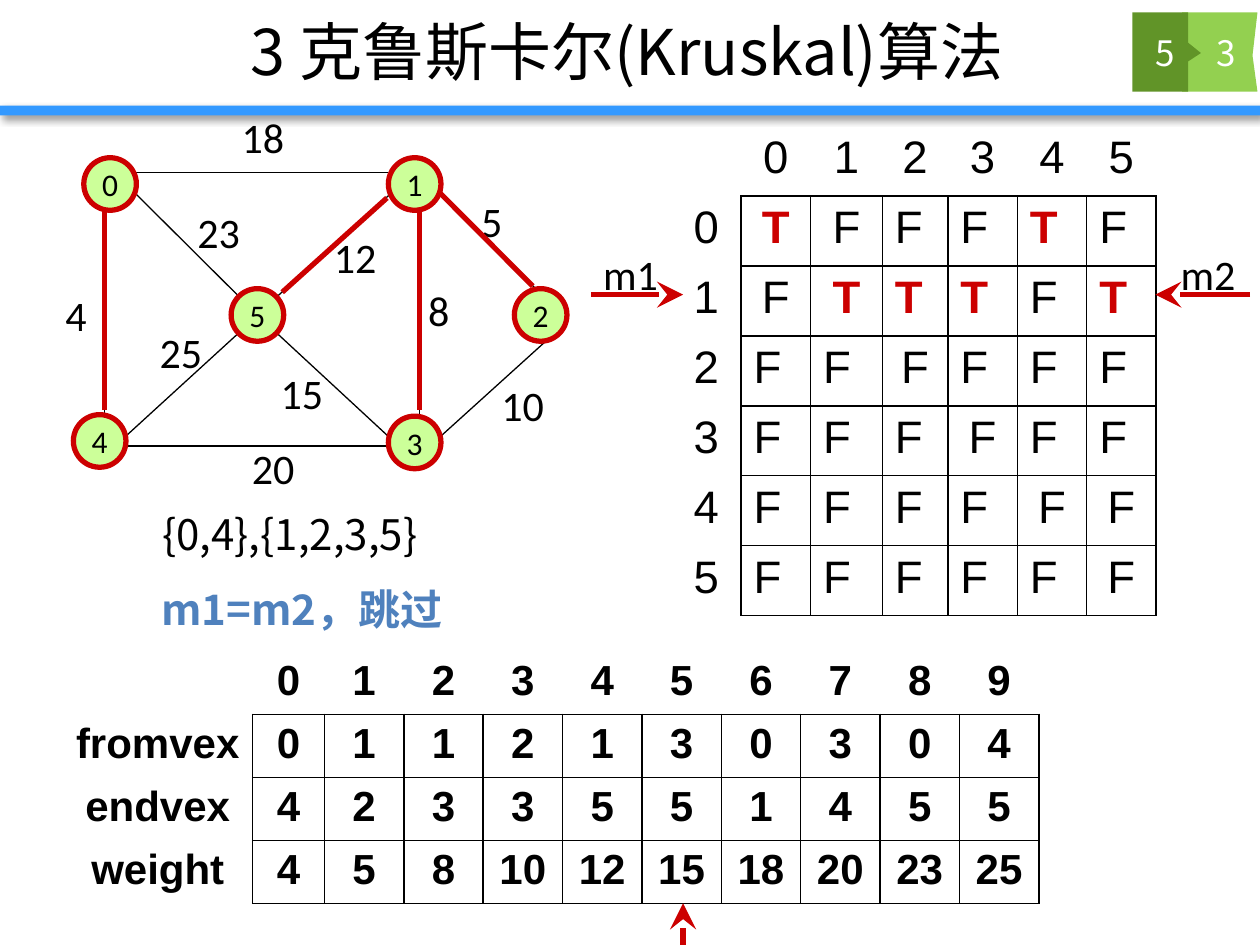
from dataclasses import dataclass
from itertools import product

from lxml.etree import SubElement
from pptx import Presentation
from pptx.dml.color import RGBColor
from pptx.enum.shapes import MSO_CONNECTOR, MSO_SHAPE
from pptx.enum.text import MSO_ANCHOR, MSO_AUTO_SIZE, PP_ALIGN
from pptx.oxml import parse_xml
from pptx.oxml.ns import nsdecls, qn
from pptx.util import Cm, Pt


@dataclass(frozen=True)
class Theme:
    """Colours, fonts and type sizes of the slide."""
    black: str = "000000"
    white: str = "FFFFFF"
    bar: str = "3399FF"
    badge_light: str = "93D050"
    badge_dark: str = "619428"
    vertex: str = "CCFF99"
    red: str = "CC0000"
    note: str = "4F81BD"
    heading_font: str = "Noto Sans CJK SC"
    label_font: str = "Calibri"
    table_font: str = "Arial"
    title_size: int = 36
    matrix_size: int = 26
    label_size: int = 24
    badge_size: int = 20
    vertex_size: int = 18
    thin: float = 0.75
    border: float = 1
    thick: float = 3


THEME = Theme()
VERTICES = {"0": (2.22, 3.71), "1": (8.36, 3.71), "2": (10.9, 6.35),
            "3": (8.36, 8.92), "4": (2.01, 8.89), "5": (5.19, 6.35)}
DIAMETER = 1.06
EDGES = [(11, 6.88, 8.89, 8.79), (8.89, 3.91, 10.8, 5.82), (5.51, 6.65, 7.82, 8.79),
         (2.54, 8.79, 4.88, 6.65), (5.54, 6.02, 7.87, 3.91), (2.74, 3.91, 4.78, 5.94),
         (2.11, 8.36, 2.11, 4.11), (2.74, 3.48, 7.82, 3.48), (2.54, 8.99, 7.82, 8.99),
         (8.46, 8.36, 8.46, 4.11)]
TREE_EDGES = [(2.11, 4.24, 2.11, 8.26), (8.84, 3.86, 10.74, 5.77),
              (8.46, 4.24, 8.46, 8.26), (7.8, 3.99, 5.69, 5.89)]
POINTERS = [(13.77, 19.28, 13.77, 18.21), (11.91, 5.94, 13.77, 5.94),
            (25.2, 5.94, 23.29, 5.94)]
LABELS = [("23", 3.73, 4.04, 1.37), ("25", 2.97, 6.45, 1.37), ("20", 4.83, 8.79, 1.37),
          ("15", 5.41, 7.29, 1.37), ("10", 9.86, 7.52, 1.37), ("18", 4.62, 2.13, 1.37),
          ("12", 6.48, 4.55, 1.37), ("4", 1.07, 5.72, 0.94), ("5", 9.45, 3.81, 0.94),
          ("8", 8.38, 5.61, 0.94), ("m1", 11.91, 4.88, 1.65), ("m2", 23.55, 4.88, 1.65)]
EDGE_ROWS = [["", *"0123456789"], ["fromvex", *"0112130304"], ["endvex", *"4233551455"],
             ["weight", "4", "5", "8", "10", "12", "15", "18", "20", "23", "25"]]
MATRIX = ["TFFFTF", "FTTTFT"] + ["FFFFFF"] * 4
MATRIX_ROWS = [["", *"012345"]] + [[str(i), *row] for i, row in enumerate(MATRIX)]
CENTRED_OFF_DIAGONAL = {(1, 2), (2, 1), (5, 6)}


def write(frame, text, size, font, color=THEME.black, bold=False, align=PP_ALIGN.LEFT):
    """Put one run of text into the first paragraph of a frame."""
    para = frame.paragraphs[0]
    para.alignment = align
    span = para.add_run()
    span.text = text
    span.font.size, span.font.name, span.font.bold = Pt(size), font, bold
    span.font.color.rgb = RGBColor.from_string(color)
    SubElement(span.font._element, qn("a:ea"), typeface=font)


def add_text(page, text, left, top, width, height, size, font, wrap=False, anchor=MSO_ANCHOR.TOP, **style):
    """Add a text box holding one run; an unwrapped box fits its text."""
    box = page.shapes.add_textbox(Cm(left), Cm(top), Cm(width), Cm(height))
    box.text_frame.word_wrap = wrap
    box.text_frame.auto_size = MSO_AUTO_SIZE.NONE if wrap else MSO_AUTO_SIZE.SHAPE_TO_FIT_TEXT
    box.text_frame.vertical_anchor = anchor
    write(box.text_frame, text, size, font, **style)


def paint(shape, fill):
    """Give a shape a plain fill with neither line nor shadow."""
    shape.shadow.inherit = False
    shape.fill.solid()
    shape.fill.fore_color.rgb = RGBColor.from_string(fill)
    shape.line.fill.background()


def add_bar(page):
    """Add the shaded rule under the title."""
    bar = page.shapes.add_shape(MSO_SHAPE.RECTANGLE, 0, Cm(2.13), Cm(25.4), Cm(0.2))
    paint(bar, THEME.bar)
    effects = bar._element.spPr.find(qn("a:effectLst"))
    shadow = SubElement(effects, qn("a:outerShdw"), blurRad=str(Pt(4)), dist=str(Pt(3)),
                        dir="2700000", rotWithShape="0")
    color = SubElement(shadow, qn("a:srgbClr"), val=THEME.black)
    SubElement(color, qn("a:alpha"), val="40000")


def add_outline(page, points, fill):
    """Add a filled polygon."""
    start, *rest = [(Cm(x), Cm(y)) for x, y in points]
    builder = page.shapes.build_freeform(*start)
    builder.add_line_segments(rest)
    paint(builder.convert_to_shape(), fill)


def add_line(page, ends, color, width, arrow=False):
    """Add a straight line, with an arrowhead at its end if wanted."""
    line = page.shapes.add_connector(MSO_CONNECTOR.STRAIGHT, *map(Cm, ends))
    line.line.color.rgb = RGBColor.from_string(color)
    line.line.width = Pt(width)
    properties = line._element.spPr
    if arrow:
        SubElement(properties.find(qn("a:ln")), qn("a:tailEnd"), type="stealth", w="lg", len="lg")
    SubElement(properties, qn("a:effectLst"))


def add_vertex(page, name, center):
    """Add a graph vertex around its centre."""
    left, top = (Cm(value - DIAMETER / 2) for value in center)
    vertex = page.shapes.add_shape(MSO_SHAPE.OVAL, left, top, Cm(DIAMETER), Cm(DIAMETER))
    paint(vertex, THEME.vertex)
    vertex.line.color.rgb = RGBColor.from_string(THEME.red)
    vertex.line.width = Pt(THEME.thick)
    vertex.text_frame.word_wrap = False
    vertex.text_frame.vertical_anchor = MSO_ANCHOR.MIDDLE
    write(vertex.text_frame, name, THEME.vertex_size, THEME.label_font, align=PP_ALIGN.CENTER)


def set_borders(cell, row, column):
    """Rule the body cells and leave the header row and column open outside."""
    shown = {(True, True): "LRTB", (False, True): "B", (True, False): "R"}.get((row > 0, column > 0), "")
    properties = cell._tc.get_or_add_tcPr()
    for place, side in enumerate("LRTB"):
        fill = f'<a:solidFill><a:srgbClr val="{THEME.black}"/></a:solidFill>' if side in shown else "<a:noFill/>"
        border = parse_xml(f'<a:ln{side} {nsdecls("a")} w="{Pt(THEME.border)}">{fill}</a:ln{side}>')
        properties.insert(place, border)


def add_grid(page, left, top, widths, height, rows, style):
    """Add a ruled table; style gives the text settings of each cell."""
    frame = page.shapes.add_table(len(rows), len(widths), Cm(left), Cm(top),
                                  Cm(sum(widths)), Cm(height * len(rows)))
    table = frame.table
    table.first_row = table.horz_banding = False
    for column, width in zip(table.columns, widths):
        column.width = Cm(width)
    for row in table.rows:
        row.height = Cm(height)
    for i, j in product(range(len(rows)), range(len(widths))):
        cell = table.cell(i, j)
        cell.fill.background()
        set_borders(cell, i, j)
        settings = style(i, j, rows[i][j])
        if rows[i][j]:
            write(cell.text_frame, rows[i][j], font=THEME.table_font, **settings)
        else:
            cell.text_frame.paragraphs[0].font.size = Pt(settings["size"])


def edge_style(row, column, text):
    """Return the text settings of the edge table."""
    return {"size": THEME.label_size, "bold": True, "align": PP_ALIGN.CENTER}


def matrix_style(row, column, text):
    """Return the text settings of the membership matrix."""
    centred = 0 in (row, column) or row == column or (row, column) in CENTRED_OFF_DIAGONAL
    return {"size": THEME.matrix_size, "bold": text == "T",
            "color": THEME.red if text == "T" else THEME.black,
            "align": PP_ALIGN.CENTER if centred else PP_ALIGN.LEFT}


def add_header(page):
    """Add the title, the rule and the numbered badge."""
    add_bar(page)
    add_outline(page, [(23.83, 0.25), (25.35, 0.25), (25.25, 1.12), (25.35, 1.85),
                       (23.83, 1.85)], THEME.badge_light)
    add_outline(page, [(22.83, 0.25), (23.95, 0.25), (23.95, 0.86), (24.21, 1.07),
                       (23.95, 1.24), (23.95, 1.85), (22.83, 1.85)], THEME.badge_dark)
    middle = {"wrap": True, "anchor": MSO_ANCHOR.MIDDLE, "align": PP_ALIGN.CENTER}
    add_text(page, "3 克鲁斯卡尔(Kruskal)算法", 2.49, 0.03, 20.29, 1.96,
             THEME.title_size, THEME.heading_font, **middle)
    for text, left in (("3", 23.93), ("5", 22.71)):
        add_text(page, text, left, 0.25, 1.57, 1.6, THEME.badge_size,
                 THEME.heading_font, color=THEME.white, **middle)


def main():
    """Build the slide and save the deck."""
    deck = Presentation()
    deck.slide_width, deck.slide_height = Cm(25.4), Cm(19.05)
    page = deck.slides.add_slide(deck.slide_layouts[6])
    add_header(page)
    for ends in EDGES:
        add_line(page, ends, THEME.black, THEME.thin)
    for text, left, top, width in LABELS:
        add_text(page, text, left, top, width, 1.27, THEME.label_size, THEME.label_font)
    add_grid(page, 1.27, 13.13, [3.82, 1.45] + [1.6] * 9, 1.27, EDGE_ROWS, edge_style)
    add_grid(page, 13.54, 2.54, [1.4, 1.4, 1.45, 1.32, 1.4, 1.4, 1.4], 1.41, MATRIX_ROWS, matrix_style)
    for ends in POINTERS:
        add_line(page, ends, THEME.red, THEME.thick, arrow=True)
    for name, center in VERTICES.items():
        add_vertex(page, name, center)
    for ends in TREE_EDGES:
        add_line(page, ends, THEME.red, THEME.thick)
    add_text(page, "{0,4},{1,2,3,5}", 3.02, 10.13, 5.69, 1.27, THEME.label_size, THEME.heading_font)
    add_text(page, "m1=m2，跳过", 3, 11.63, 6.45, 1.27, THEME.label_size,
             THEME.heading_font, color=THEME.note, bold=True)
    deck.save("out.pptx")


if __name__ == "__main__":
    main()
